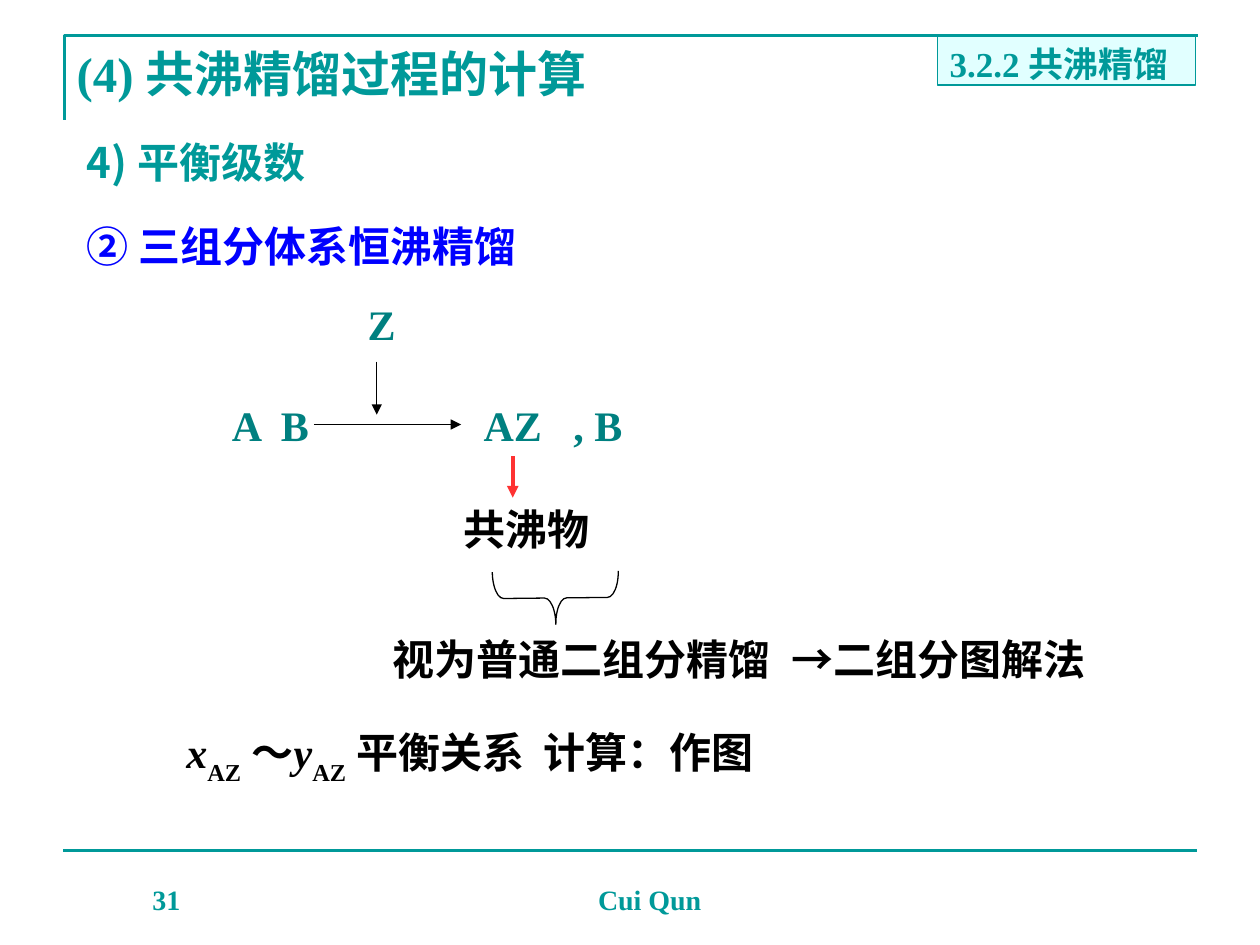
from lxml import etree
from pptx import Presentation
from pptx.dml.color import RGBColor
from pptx.enum.shapes import MSO_CONNECTOR, MSO_SHAPE
from pptx.enum.text import MSO_ANCHOR, MSO_AUTO_SIZE, PP_ALIGN
from pptx.oxml.ns import qn
from pptx.util import Pt

STRAIGHT = MSO_CONNECTOR.STRAIGHT
RECTANGLE, LEFT_BRACE = MSO_SHAPE.RECTANGLE, MSO_SHAPE.LEFT_BRACE
TOP, MIDDLE, BOTTOM = MSO_ANCHOR.TOP, MSO_ANCHOR.MIDDLE, MSO_ANCHOR.BOTTOM
LEFT, CENTER, RIGHT = PP_ALIGN.LEFT, PP_ALIGN.CENTER, PP_ALIGN.RIGHT
FIT, FIXED = MSO_AUTO_SIZE.SHAPE_TO_FIT_TEXT, MSO_AUTO_SIZE.NONE

TEAL = RGBColor(0x00, 0x99, 0x99)
DARK_TEAL = RGBColor(0x00, 0x80, 0x80)
PALE_CYAN = RGBColor(0xE1, 0xFF, 0xFF)
BLUE = RGBColor(0x00, 0x00, 0xFF)
RED = RGBColor(0xFE, 0x32, 0x32)
BLACK = RGBColor(0x00, 0x00, 0x00)
SERIF, HAN = "Times New Roman", "Noto Sans CJK SC"


def add_run(paragraph, text, color, size=24, font=SERIF, italic=False, subscript=False):
    """Append one bold run with its Latin and East Asian fonts."""
    run = paragraph.add_run()
    run.text = text
    run.font.name, run.font.size = font, Pt(size)
    run.font.bold, run.font.italic = True, italic
    run.font.color.rgb = color
    properties = run._r.get_or_add_rPr()
    etree.SubElement(properties, qn("a:ea")).set("typeface", HAN)
    if subscript:
        properties.set("baseline", "-30000")


def format_frame(frame, anchor=TOP, align=LEFT, wrap=True, fit=FIXED):
    """Set margins, anchor and wrapping, and return the first paragraph."""
    frame.margin_left = frame.margin_right = Pt(7.2)
    frame.margin_top = frame.margin_bottom = Pt(3.6)
    frame.vertical_anchor = anchor
    frame.word_wrap = wrap
    frame.auto_size = fit
    paragraph = frame.paragraphs[0]
    paragraph.alignment = align
    return paragraph


def add_label(slide, box, text, color, size=24, font=SERIF, **layout):
    """Place a text box holding a single run."""
    label = slide.shapes.add_textbox(*map(Pt, box))
    add_run(format_frame(label.text_frame, **layout), text, color, size, font)


def add_line(slide, start, end, color, width, arrow=False):
    """Draw a straight line, with an arrowhead at its end if asked."""
    line = slide.shapes.add_connector(STRAIGHT, *map(Pt, start + end))
    line.line.color.rgb, line.line.width = color, Pt(width)
    if arrow:
        outline = line.line._get_or_add_ln()
        etree.SubElement(outline, qn("a:tailEnd")).set("type", "triangle")
    etree.SubElement(line._element.spPr, qn("a:effectLst"))


def add_header(slide, left, top, width, height):
    """Draw the corner rule, the chapter heading and the section tag."""
    builder = slide.shapes.build_freeform(Pt(left), Pt(top + height))
    builder.add_line_segments([(Pt(left), Pt(top)), (Pt(left + width), Pt(top))], close=False)
    corner = builder.convert_to_shape()
    corner.shadow.inherit = False
    corner.fill.background()
    corner.line.color.rgb, corner.line.width = TEAL, Pt(1.5)

    add_label(slide, (left, top, 340, 42), "(4) 共沸精馏过程的计算", TEAL, 28, anchor=MIDDLE)

    tag_width = 147.6
    tag = slide.shapes.add_shape(
        RECTANGLE, Pt(left + width - tag_width - 1.5), Pt(top + 0.3), Pt(tag_width), Pt(28))
    tag.shadow.inherit = False
    tag.fill.solid()
    tag.fill.fore_color.rgb = PALE_CYAN
    tag.line.color.rgb, tag.line.width = TEAL, Pt(0.75)
    add_run(format_frame(tag.text_frame), "3.2.2 共沸精馏", TEAL, 20)


def add_headings(slide, left, top, width, height):
    """Fill the title and place the subheading at the foot of the box."""
    title = slide.shapes.title
    title.left, title.top, title.width, title.height = Pt(left), Pt(top), Pt(width), Pt(42)
    add_run(format_frame(title.text_frame, anchor=MIDDLE), "4) 平衡级数", TEAL, font=HAN)
    add_label(slide, (left, top + height - 30, 294, 30), "② 三组分体系恒沸精馏", BLUE, font=HAN)


def add_process(slide, left, top, width, height):
    """Draw entrainer Z joining feed A and B to give the azeotrope and B."""
    feed_top, arrow_y = top + 57.6, top + 75.6
    entrainer_x, azeotrope_x = left + 95.8, left + 173.5
    add_label(slide, (left + 6, feed_top, 72, 36), "A  B", DARK_TEAL, fit=FIT)
    add_line(slide, (left + 59.8, arrow_y), (left + 144, arrow_y), BLACK, 0.75, arrow=True)
    add_line(slide, (entrainer_x, top + 39.6), (entrainer_x, top + 70), BLACK, 0.75, arrow=True)
    add_label(slide, (left + 83.5, top, 36, 36), "Z", DARK_TEAL, wrap=False, fit=FIT)
    add_label(slide, (left + 149.8, feed_top, 95.8, 36), "AZ   , B", DARK_TEAL, fit=FIT)
    add_line(slide, (azeotrope_x, top + 93.6), (azeotrope_x, top + 117.4), RED, 2.25, arrow=True)
    add_label(slide, (left + 138.2, top + 117.4, 86.4, 36), "共沸物", BLACK, wrap=False, fit=FIT)

    depth, span = 30.2, 72
    brace = slide.shapes.add_shape(
        LEFT_BRACE, Pt(left + width - 63.1), Pt(top + height - (depth + span) / 2),
        Pt(depth), Pt(span))
    brace.rotation = 269.4
    brace.adjustments[0], brace.adjustments[1] = 0.21, 0.5
    brace.shadow.inherit = False
    brace.fill.background()
    brace.line.color.rgb, brace.line.width = BLACK, Pt(0.75)


def add_conclusion(slide, left, top, width, height):
    """State the binary simplification and the equilibrium relation."""
    method_width = 182.2
    add_label(slide, (left + 118, top, 230.4, 36), "视为普通二组分精馏", BLACK, wrap=False, fit=FIT)
    add_label(slide, (left + width - method_width, top, method_width, 36), "→二组分图解法", BLACK,
              wrap=False, fit=FIT)

    relation = slide.shapes.add_textbox(Pt(left), Pt(top + height - 41), Pt(378), Pt(41))
    paragraph = format_frame(relation.text_frame, fit=FIT)
    for symbol, link in (("x", " ～"), ("y", " 平衡关系  计算：作图")):
        add_run(paragraph, symbol, BLACK, italic=True)
        add_run(paragraph, "AZ", BLACK, subscript=True)
        add_run(paragraph, link, BLACK)


def add_footer(slide, left, top, width, height):
    """Draw the bottom rule with the page number and the author."""
    add_line(slide, (left, top), (left + width, top), TEAL, 1.5)
    text_top = top + height - 36
    add_label(slide, (left + 0.7, text_top, 73.4, 36), "31", TEAL, 16, anchor=BOTTOM, align=RIGHT)
    add_label(slide, (left + 221.8, text_top, 226.8, 36), "Cui Qun", TEAL, 16,
              anchor=BOTTOM, align=CENTER)


def main():
    """Build the slide and save it."""
    deck = Presentation()
    deck.slide_width, deck.slide_height = Pt(720), Pt(540)
    slide = deck.slides.add_slide(deck.slide_layouts[5])
    add_header(slide, 36.7, 20.4, 648, 48.2)
    add_headings(slide, 42.5, 71.3, 546.5, 81.4)
    add_process(slide, 119.5, 167, 246, 189.8)
    add_conclusion(slide, 99.4, 358.6, 527.8, 94.3)
    add_footer(slide, 36, 486, 648, 41)
    deck.save("out.pptx")


if __name__ == "__main__":
    main()
